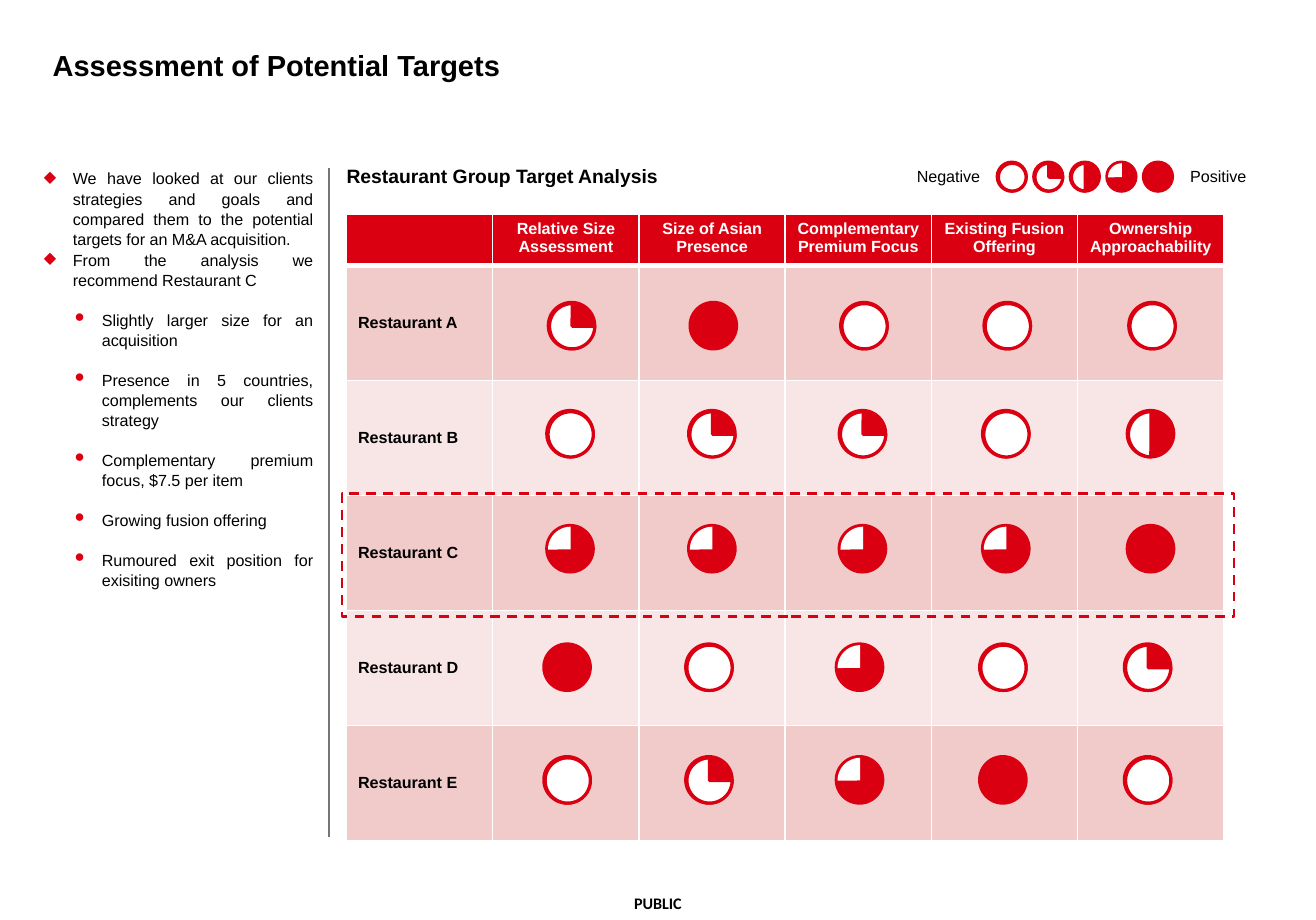
from lxml import etree
from pptx import Presentation, util as u
from pptx.dml.color import RGBColor
from pptx.enum import dml, shapes, text
from pptx.oxml import ns

colour = RGBColor.from_string
RED, BLACK, WHITE, GREY = "DB0011", "000000", "FFFFFF", "767676"
BANDS = ("F1CACA", "F8E6E6")
ALIGN = text.PP_ALIGN

deck = Presentation()
deck.slide_width, deck.slide_height = u.Inches(11.34), u.Inches(7.93)
slide = deck.slides.add_slide(deck.slide_layouts[6])

# Page grid: nine columns by eight rows
col, row = deck.slide_width // 9, deck.slide_height // 8


def add_text(x, y, w, h, lines, size=10, bold=False, font="Arial", align=ALIGN.LEFT):
    box = slide.shapes.add_textbox(int(x * col), int(y * row), int(w * col), int(h * row))
    frame = box.text_frame
    frame.word_wrap = True
    frame.margin_left = frame.margin_right = frame.margin_top = frame.margin_bottom = 0
    frame.text = "\n".join(lines)
    for paragraph in frame.paragraphs:
        paragraph.alignment = align
        for run in paragraph.runs:
            run.font.name, run.font.size, run.font.bold = font, u.Pt(size), bold
            run.font.color.rgb = colour(BLACK)
    return frame


def add_score(x, y, size, quarters):
    """Red disc with a white part laid over it; quarters is the red share."""
    pie, ring = shapes.MSO_SHAPE.PIE, shapes.MSO_SHAPE.OVAL
    layers = [(pie, (0, 215.94), RED, 0)]
    if quarters == 0:
        layers.append((ring, (), WHITE, 0.01))
    elif quarters < 4:
        start = {1: 0, 2: 54.48, 3: 107.55}[quarters]
        layers.append((pie, (start, 162), WHITE, 0.01))
    for kind, angles, fill, inset in layers:
        offset, side = u.Inches(inset), u.Inches(size - inset)
        part = slide.shapes.add_shape(kind, int(x * col) + offset, int(y * row) + offset, side, side)
        for index, angle in enumerate(angles):
            part.adjustments[index] = angle
        part.shadow.inherit = False
        part.fill.solid()
        part.fill.fore_color.rgb = colour(fill)
        if fill == WHITE and quarters == 3:
            part.line.fill.background()
        else:
            part.line.color.rgb, part.line.width = colour(RED), u.Pt(2)


# Divider, footer and headings
divider = slide.shapes.add_connector(
    shapes.MSO_CONNECTOR.STRAIGHT, int(2.25 * col), int(1.46 * row), int(2.25 * col), int(7.28 * row))
divider.line.color.rgb, divider.line.width = colour(GREY), u.Pt(1)
etree.SubElement(divider._element.spPr, ns.qn("a:effectLst"))
add_text(4.22, 7.77, 0.56, 0.17, ["PUBLIC"], bold=True, font="Calibri", align=ALIGN.CENTER)
add_text(2.37, 1.43, 3.06, 0.2, ["Restaurant Group Target Analysis"], size=12, bold=True)
title = add_text(0.36, 0.45, 8.28, 0.27, ["Assessment of Potential Targets"], size=18, bold=True)
title.paragraphs[0].line_spacing = 0.9

# Commentary: two findings, then the reasons
findings = [
    "We have looked at our clients strategies and goals and compared them to the "
    "potential targets for an M&A acquisition.",
    "From the analysis we recommend Restaurant C",
]
reasons = [
    "Slightly larger size for an acquisition",
    "Presence in 5 countries, complements our clients strategy",
    "Complementary premium focus, $7.5 per item",
    "Growing fusion offering",
    "Rumoured exit position for exisiting owners",
]
commentary = add_text(0.3, 1.46, 1.84, 5.85, findings + reasons, align=ALIGN.JUSTIFY)
for index, paragraph in enumerate(commentary.paragraphs):
    level = 0 if index < len(findings) else 1
    paragraph.level = level
    paragraph.line_spacing = 1.05
    paragraph.space_before = u.Pt(12 * level)
    props = paragraph._p.get_or_add_pPr()
    props.set("marL", str(u.Inches(0.25 * (level + 1))))
    props.set("indent", str(-u.Inches(0.25)))
    bullet_colour = etree.SubElement(props, ns.qn("a:buClr"))
    etree.SubElement(bullet_colour, ns.qn("a:srgbClr"), val=RED)
    etree.SubElement(props, ns.qn("a:buChar"), char="◆⚫"[level])

# Legend
add_text(6.27, 1.45, 0.45, 0.17, ["Negative"])
add_text(8.14, 1.45, 0.49, 0.17, ["Positive"])
for quarters in range(5):
    add_score(6.82 + 0.25 * quarters, 1.41, 0.25, quarters)

# Assessment table
criteria = ["", "Relative Size Assessment", "Size of Asian Presence", "Complementary Premium Focus",
            "Existing Fusion Offering", "Ownership Approachability"]
# name, top and sideways nudge of the scores, red quarters per criterion
targets = [
    ("Restaurant A", 2.63, 0.01, (1, 4, 0, 0, 0)),
    ("Restaurant B", 3.57, 0, (0, 1, 1, 0, 2)),
    ("Restaurant C", 4.57, 0, (3, 3, 3, 3, 4)),
    ("Restaurant D", 5.6, -0.02, (4, 0, 3, 0, 1)),
    ("Restaurant E", 6.58, -0.02, (0, 1, 3, 4, 0)),
]
assessment = slide.shapes.add_table(
    len(targets) + 1, len(criteria), int(2.37 * col), int(1.86 * row), 6 * col, int(5.45 * row)).table
for line in assessment.rows:
    line.height = row
assessment.rows[0].height = int(0.45 * row)
for r in range(len(targets) + 1):
    for c, criterion in enumerate(criteria):
        cell = assessment.cell(r, c)
        cell.fill.solid()
        cell.fill.fore_color.rgb = colour(BANDS[(r - 1) % 2] if r else RED)
        wording = criterion if r == 0 else targets[r - 1][0] if c == 0 else ""
        if wording:
            cell.text_frame.text = wording
            paragraph = cell.text_frame.paragraphs[0]
            paragraph.alignment = ALIGN.LEFT if r else ALIGN.CENTER
            font = paragraph.runs[0].font
            font.name, font.size, font.bold = "Arial", u.Pt(10), True
            font.color.rgb = colour(BLACK if r else WHITE)
        if r:
            cell.vertical_anchor = text.MSO_ANCHOR.MIDDLE
        # White cell borders, thick under the header
        props = cell._tc.get_or_add_tcPr()
        for place, side in enumerate("LRTB"):
            thick = (r, side) in ((0, "B"), (1, "T"))
            border = etree.Element(ns.qn(f"a:ln{side}"), w=str(u.Pt(3 if thick else 0.96)))
            paint = etree.SubElement(border, ns.qn("a:solidFill"))
            etree.SubElement(paint, ns.qn("a:srgbClr"), val=WHITE)
            props.insert(place, border)

# Scores
score_lefts = (3.74, 4.71, 5.74, 6.72, 7.71)
for name, top, nudge, scores in targets:
    for left, quarters in zip(score_lefts, scores):
        add_score(left + nudge, top, 0.4, quarters)

# Frame around the recommended target
recommended = slide.shapes.add_shape(
    shapes.MSO_SHAPE.RECTANGLE, int(2.34 * col), int(4.29 * row), int(6.1 * col), int(1.07 * row))
recommended.shadow.inherit = False
recommended.fill.background()
recommended.line.color.rgb, recommended.line.width = colour(RED), u.Pt(1.5)
recommended.line.dash_style = dml.MSO_LINE.DASH

deck.save("out.pptx")
